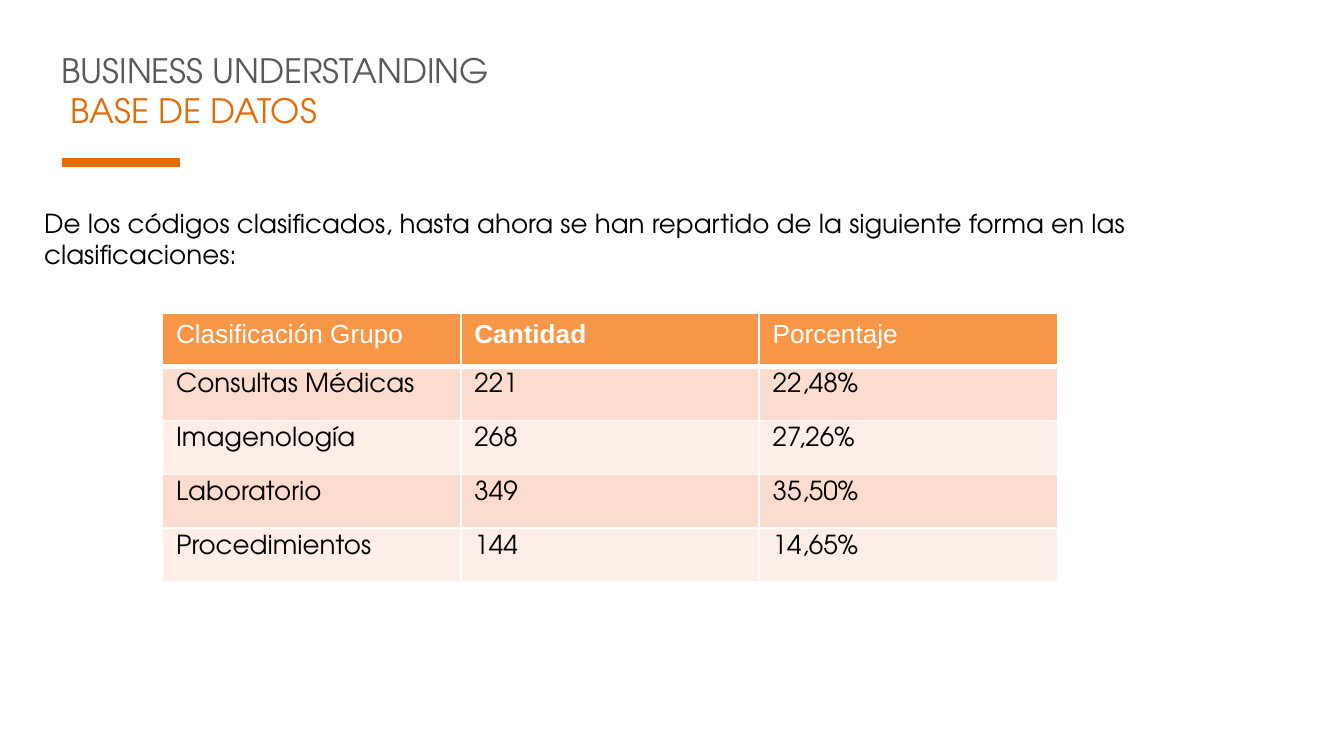
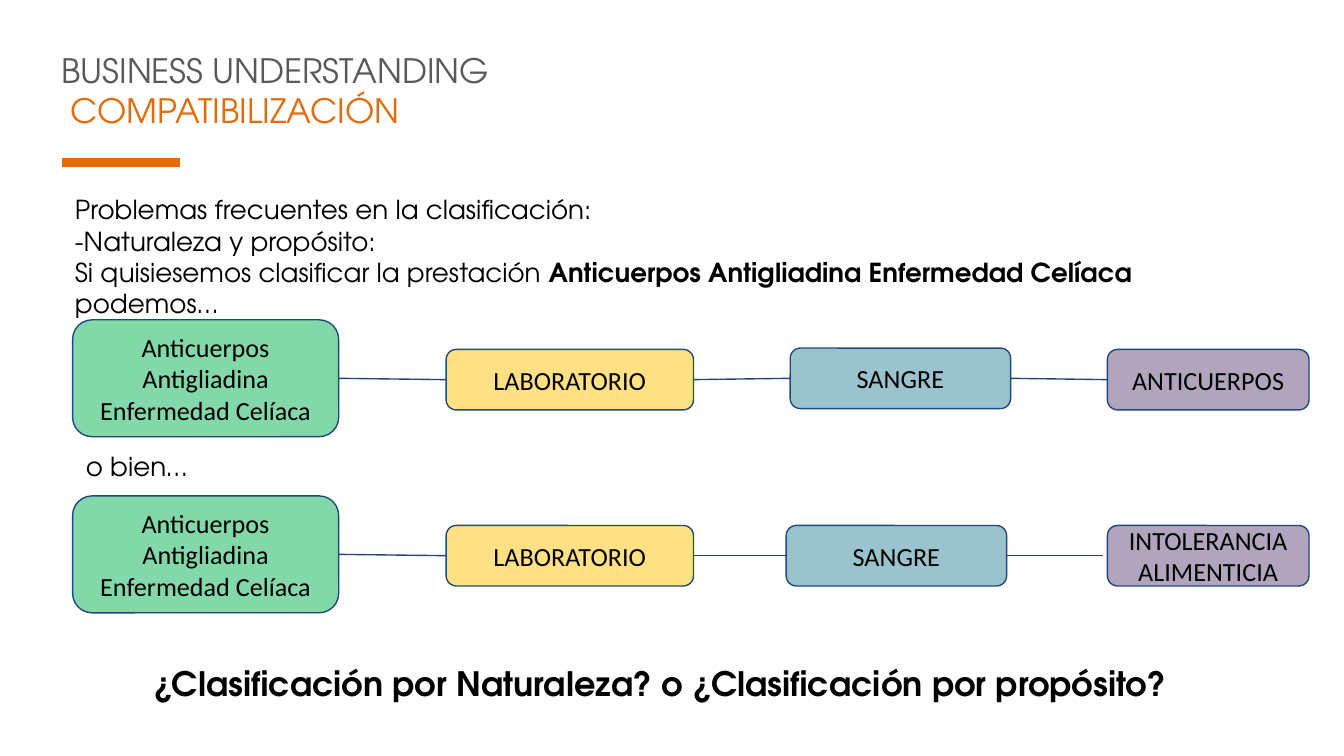
from dataclasses import dataclass

from pptx import Presentation
from pptx.dml.color import RGBColor
from pptx.enum.shapes import MSO_CONNECTOR, MSO_SHAPE
from pptx.enum.text import MSO_ANCHOR, MSO_AUTO_SIZE, PP_ALIGN
from pptx.oxml.ns import qn
from pptx.util import Pt
from lxml import etree

PX = 9144
WIDE = 1000 * PX
HIGH = WIDE * 9 // 16
LINE = MSO_CONNECTOR.STRAIGHT
ROUND = MSO_SHAPE.ROUNDED_RECTANGLE
MIDDLE = MSO_ANCHOR.MIDDLE
CENTER = PP_ALIGN.CENTER
GROW = MSO_AUTO_SIZE.SHAPE_TO_FIT_TEXT
LEFT_SIDE, RIGHT_SIDE = 1, 3

SANS = "TeX Gyre Adventor"
BODY = "Calibri"
HEAD = "Arial"
ORANGE = "E36C09"
GRAY = "595959"
BLACK = "000000"
WHITE = "FFFFFF"
NAVY = "1F497D"
HEADER = "F79646"
BANDS = ("FCDCCE", "FDEEE8")
GREEN, YELLOW, TEAL, PURPLE = "00B050", "FFC000", "31859B", "5F497A"

DATA = (
    ("Clasificación Grupo", "Cantidad", "Porcentaje"),
    ("Consultas Médicas", "221", "22,48%"),
    ("Imagenología", "268", "27,26%"),
    ("Laboratorio", "349", "35,50%"),
    ("Procedimientos", "144", "14,65%"),
)


@dataclass(frozen=True)
class Node:
    text: str
    left: int
    top: int
    width: int
    height: int
    fill: str


def chain(top: int, blood: tuple[int, int], last: str) -> list[Node]:
    exam = "Anticuerpos Antigliadina Enfermedad Celíaca"
    return [
        Node(exam, 54, top, 198, 87, GREEN),
        Node("LABORATORIO", 332, top + 22, 184, 45, YELLOW),
        Node("SANGRE", *blood, 164, 45, TEAL),
        Node(last, 824, top + 22, 150, 45, PURPLE),
    ]


def rgb(code: str) -> RGBColor:
    return RGBColor.from_string(code)


def write(frame, text: str, *, size: int = 14, font: str = SANS,
          color: str = BLACK, bold: bool | None = False,
          align=None, join: bool = False) -> None:
    for line in text.split("\n"):
        para = frame.paragraphs[-1]
        if para.runs and not join:
            para = frame.add_paragraph()
        if align is not None:
            para.alignment = align
        run = para.add_run()
        run.text = line
        run.font.size = Pt(size)
        run.font.name = font
        run.font.bold = bold
        run.font.color.rgb = rgb(color)


def inset(frame, side: int, edge: int) -> None:
    frame.word_wrap = True
    frame.margin_left = frame.margin_right = side * PX
    frame.margin_top = frame.margin_bottom = edge * PX


def label(slide, left: int, top: int, width: int, height: int,
          edge: int = 10, grow: bool = False):
    box = slide.shapes.add_textbox(left * PX, top * PX, width * PX, height * PX)
    inset(box.text_frame, 10, edge)
    if grow:
        box.text_frame.auto_size = GROW
    return box.text_frame


def stroke(slide, ends: tuple[int, int, int, int], color: str, width: float):
    line = slide.shapes.add_connector(LINE, *ends)
    line.line.color.rgb = rgb(color)
    line.line.width = Pt(width)
    etree.SubElement(line._element.spPr, qn("a:effectLst"))
    return line


def page(deck, title: str):
    slide = deck.slides.add_slide(deck.slide_layouts[6])
    stroke(slide, (46 * PX, 121 * PX, 134 * PX, 121 * PX), ORANGE, 4.5)
    frame = label(slide, 36, 32, 343, 71, edge=5, grow=True)
    write(frame, "BUSINESS UNDERSTANDING", size=18, color=GRAY)
    write(frame, " " + title, size=18, color=ORANGE)
    return slide


def draw(slide, node: Node):
    shape = slide.shapes.add_shape(ROUND, node.left * PX, node.top * PX,
                                   node.width * PX, node.height * PX)
    shape.adjustments[0] = 0.167
    shape.shadow.inherit = False
    shape.fill.solid()
    shape.fill.fore_color.rgb = rgb(node.fill)
    tint = shape._element.spPr.find(qn("a:solidFill"))[0]
    etree.SubElement(tint, qn("a:alpha"), val="49000")
    shape.line.color.rgb = rgb(NAVY)
    shape.line.width = Pt(0.75)
    frame = shape.text_frame
    inset(frame, 10, 10)
    frame.vertical_anchor = MIDDLE
    write(frame, node.text, font=BODY, align=CENTER)
    return shape


def link(slide, start, end, gap: int = 0) -> None:
    ends = (start.left + start.width, start.top + start.height // 2,
            end.left - gap * PX, end.top + end.height // 2)
    line = stroke(slide, ends, NAVY, 0.75)
    line.begin_connect(start, RIGHT_SIDE)
    if not gap:
        line.end_connect(end, LEFT_SIDE)


def flow(slide, nodes: list[Node], gap: int = 0) -> None:
    shapes = [draw(slide, node) for node in nodes]
    for start, end in zip(shapes, shapes[1:]):
        link(slide, start, end, gap if end is shapes[-1] else 0)


def border(cell, base: int) -> None:
    props = cell._tc.get_or_add_tcPr()
    for side, width in (("L", 1), ("R", 1), ("T", 1), ("B", base)):
        edge = etree.SubElement(props, qn("a:ln" + side), w=str(int(Pt(width))))
        fill = etree.SubElement(edge, qn("a:solidFill"))
        etree.SubElement(fill, qn("a:srgbClr"), val=WHITE)


def grid(slide) -> None:
    rows, cols = len(DATA), len(DATA[0])
    table = slide.shapes.add_table(rows, cols, 121 * PX, 233 * PX,
                                   cols * 222 * PX, rows * 40 * PX).table
    for r, row in enumerate(DATA):
        for c, text in enumerate(row):
            cell = table.cell(r, c)
            border(cell, 1 if r else 3)
            cell.fill.solid()
            cell.fill.fore_color.rgb = rgb(BANDS[(r - 1) % 2] if r else HEADER)
            if r:
                write(cell.text_frame, text)
            else:
                write(cell.text_frame, text, font=HEAD, color=WHITE,
                      bold=True if c == 1 else None)


def base(deck) -> None:
    slide = page(deck, "BASE DE DATOS")
    frame = label(slide, 23, 149, 831, 81, edge=5, grow=True)
    write(frame, "De los códigos clasificados, hasta ahora se han repartido "
                 "de la siguiente forma en las clasificaciones:")
    grid(slide)


def match(deck) -> None:
    slide = page(deck, "COMPATIBILIZACIÓN")
    frame = label(slide, 46, 134, 816, 86)
    write(frame, "Problemas frecuentes en la clasificación:\n"
                 "-Naturaleza y propósito:\n"
                 "Si quisiesemos clasificar la prestación ")
    write(frame, "Anticuerpos Antigliadina Enfermedad Celíaca",
          bold=True, join=True)
    write(frame, "podemos…")
    flow(slide, chain(238, (588, 259), "ANTICUERPOS"))
    write(label(slide, 54, 325, 198, 33), "o bien…")
    flow(slide, chain(369, (585, 391), "INTOLERANCIA\nALIMENTICIA"), gap=3)
    write(label(slide, 104, 483, 812, 62),
          "¿Clasificación por Naturaleza? o ¿Clasificación por propósito?",
          size=18, bold=True)


def main() -> None:
    deck = Presentation()
    deck.slide_width = WIDE
    deck.slide_height = HIGH
    base(deck)
    match(deck)
    deck.save("out.pptx")


if __name__ == "__main__":
    main()
